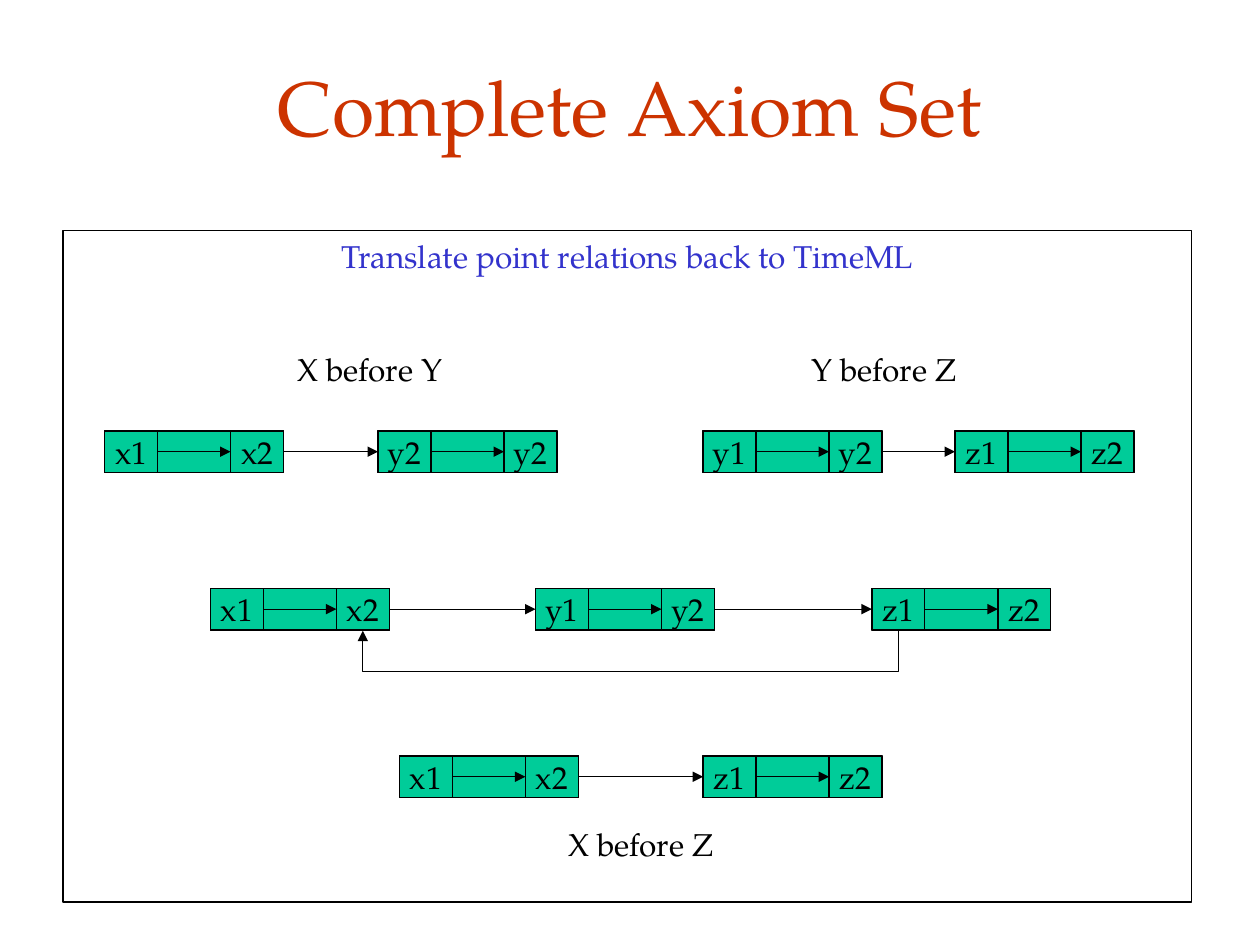
from itertools import pairwise

from lxml import etree
from pptx import Presentation
from pptx import util as u
from pptx.dml.color import RGBColor
from pptx.enum import shapes, text
from pptx.oxml.ns import qn

FONT = "TeX Gyre Pagella"
BLACK, WHITE, GREEN, RED, BLUE = "000000", "FFFFFF", "00CC99", "CC3300", "3333CC"
INTERVAL_WIDTH, POINT_WIDTH, HEIGHT = 1.42, 0.42, 0.33
TOP, LEFT, BOTTOM, RIGHT = range(4)

# Each chain: top, then (left, start point, end point) of its intervals
CHAINS = [
    (3.42, [(0.83, "x1", "x2"), (3, "y2", "y2")]),
    (3.42, [(5.58, "y1", "y2"), (7.58, "z1", "z2")]),
    (4.67, [(1.67, "x1", "x2"), (4.25, "y1", "y2"), (6.92, "z1", "z2")]),
    (6, [(3.17, "x1", "x2"), (5.58, "z1", "z2")]),
]
RELATIONS = [(2.26, 2.73, "X before Y"), (6.34, 2.73, "Y before Z"),
             (4.41, 6.5, "X before Z")]


def color(value):
    return RGBColor.from_string(value)


def write(shape, words, size=18, font_color=BLACK, anchor=text.MSO_ANCHOR.MIDDLE,
          wrap=False):
    frame = shape.text_frame
    frame.word_wrap = wrap
    frame.vertical_anchor = anchor
    paragraph = frame.paragraphs[0]
    paragraph.text = words
    paragraph.alignment = text.PP_ALIGN.CENTER
    paragraph.font.name = FONT
    paragraph.font.size = u.Pt(size)
    paragraph.font.color.rgb = color(font_color)
    return paragraph


def add_label(slide, left, top, width, height, words, **style):
    box = slide.shapes.add_textbox(*map(u.Inches, (left, top, width, height)))
    return write(box, words, **style)


def add_box(slide, left, top, width, height, fill=GREEN, line_width=0.75):
    shape = slide.shapes.add_shape(
        shapes.MSO_SHAPE.RECTANGLE, *map(u.Inches, (left, top, width, height)))
    shape.shadow.inherit = False
    shape.fill.solid()
    shape.fill.fore_color.rgb = color(fill)
    shape.line.color.rgb = color(BLACK)
    shape.line.width = u.Pt(line_width)
    return shape


def add_arrow(slide, begin, begin_site, end, end_site,
              kind=shapes.MSO_CONNECTOR.STRAIGHT):
    arrow = slide.shapes.add_connector(kind, 0, 0, 0, 0)
    arrow.begin_connect(begin, begin_site)
    arrow.end_connect(end, end_site)
    arrow.line.color.rgb = color(BLACK)
    arrow.line.width = u.Pt(0.75)
    etree.SubElement(arrow.line._get_or_add_ln(), qn("a:tailEnd"), type="triangle")
    etree.SubElement(arrow._element.spPr, qn("a:effectLst"))
    return arrow


def add_interval(slide, left, top, start_name, end_name):
    """Draw a bar with a point at each end and return the two points."""
    add_box(slide, left, top, INTERVAL_WIDTH, HEIGHT)
    start = add_box(slide, left, top, POINT_WIDTH, HEIGHT)
    end = add_box(slide, left + INTERVAL_WIDTH - POINT_WIDTH, top, POINT_WIDTH, HEIGHT)
    write(start, start_name)
    write(end, end_name)
    add_arrow(slide, start, RIGHT, end, LEFT)
    return start, end


def add_chain(slide, top, intervals):
    points = [add_interval(slide, left, top, *names) for left, *names in intervals]
    for (_, end), (start, _) in pairwise(points):
        add_arrow(slide, end, RIGHT, start, LEFT)
    return points


def add_detour(slide, begin, end, drop=0.34):
    """Join the bottoms of two points by an elbow that runs below them."""
    arrow = add_arrow(slide, begin, BOTTOM, end, BOTTOM, shapes.MSO_CONNECTOR.ELBOW)
    thickness = 0.01
    span = end.left - begin.left
    center_x = (begin.left + end.left + begin.width) // 2
    center_y = begin.top + begin.height
    # The elbow is laid out upright, then turned a quarter to the left
    arrow.width, arrow.height = u.Inches(thickness), span
    arrow.left, arrow.top = center_x - arrow.width // 2, center_y - span // 2
    properties = arrow._element.spPr
    frame = properties.find(qn("a:xfrm"))
    frame.set("rot", str(270 * 60000))
    frame.set("flipH", "1")
    guides = properties.find(qn("a:prstGeom")).get_or_add_avLst()
    etree.SubElement(guides, qn("a:gd"), name="adj1",
                     fmla=f"val {round(drop / thickness * 100000)}")


def main():
    presentation = Presentation()
    presentation.slide_width, presentation.slide_height = u.Inches(10), u.Inches(7.5)
    slide = presentation.slides.add_slide(presentation.slide_layouts[6])

    title = add_label(slide, 0.75, 0.25, 8.5, 1.25, "Complete Axiom Set",
                      size=44, font_color=RED, wrap=True)
    title.line_spacing = 0.94
    panel = add_box(slide, 0.5, 1.83, 8.96, 5.33, fill=WHITE, line_width=0)
    write(panel, "Translate point relations back to TimeML", font_color=BLUE,
          anchor=text.MSO_ANCHOR.TOP, wrap=True)

    chains = [add_chain(slide, top, intervals) for top, intervals in CHAINS]
    (_, x2), _, (z1, _) = chains[2]
    add_detour(slide, x2, z1)
    for left, top, words in RELATIONS:
        add_label(slide, left, top, 1.35, 0.4, words, anchor=text.MSO_ANCHOR.TOP)

    presentation.save("out.pptx")


if __name__ == "__main__":
    main()
